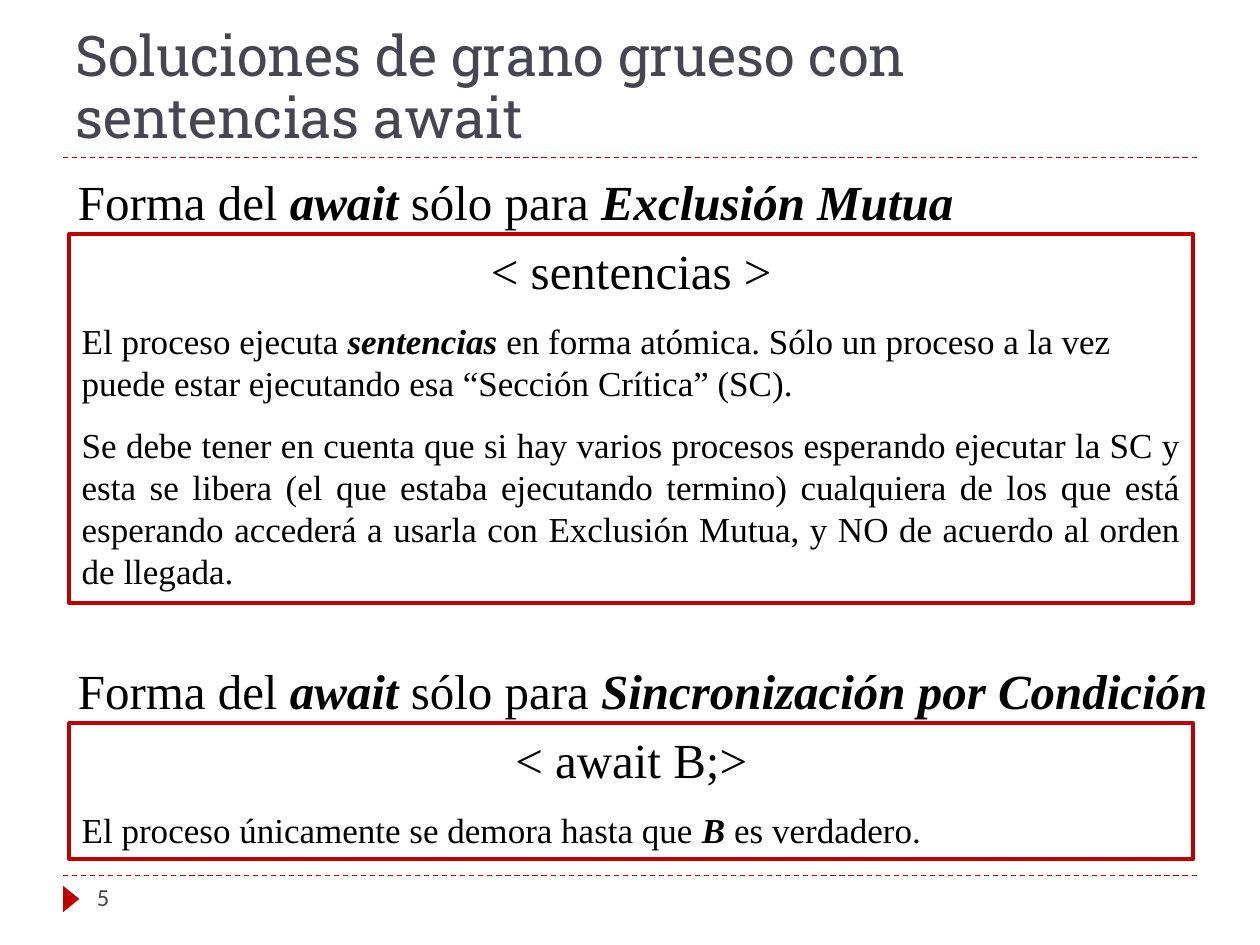
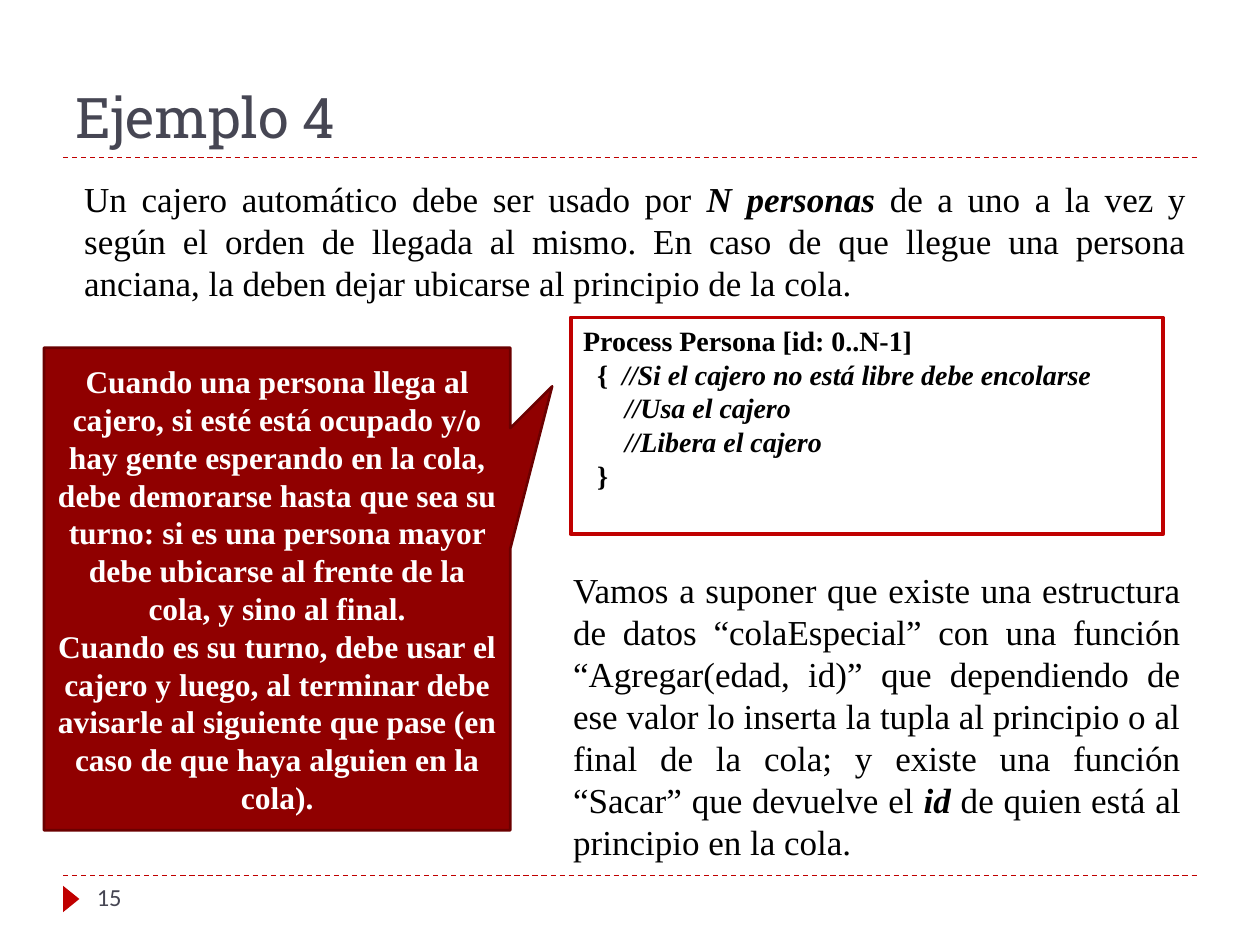
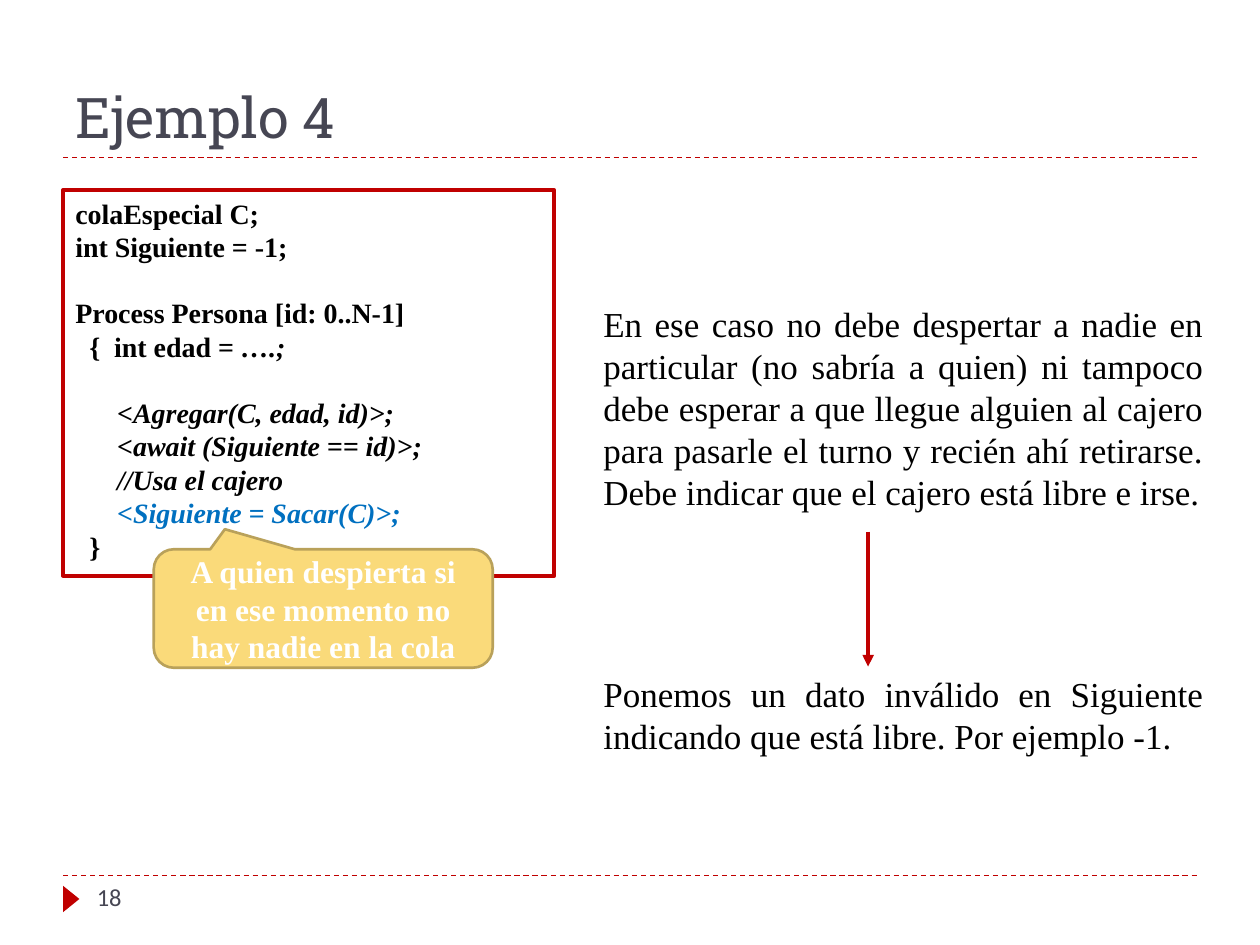
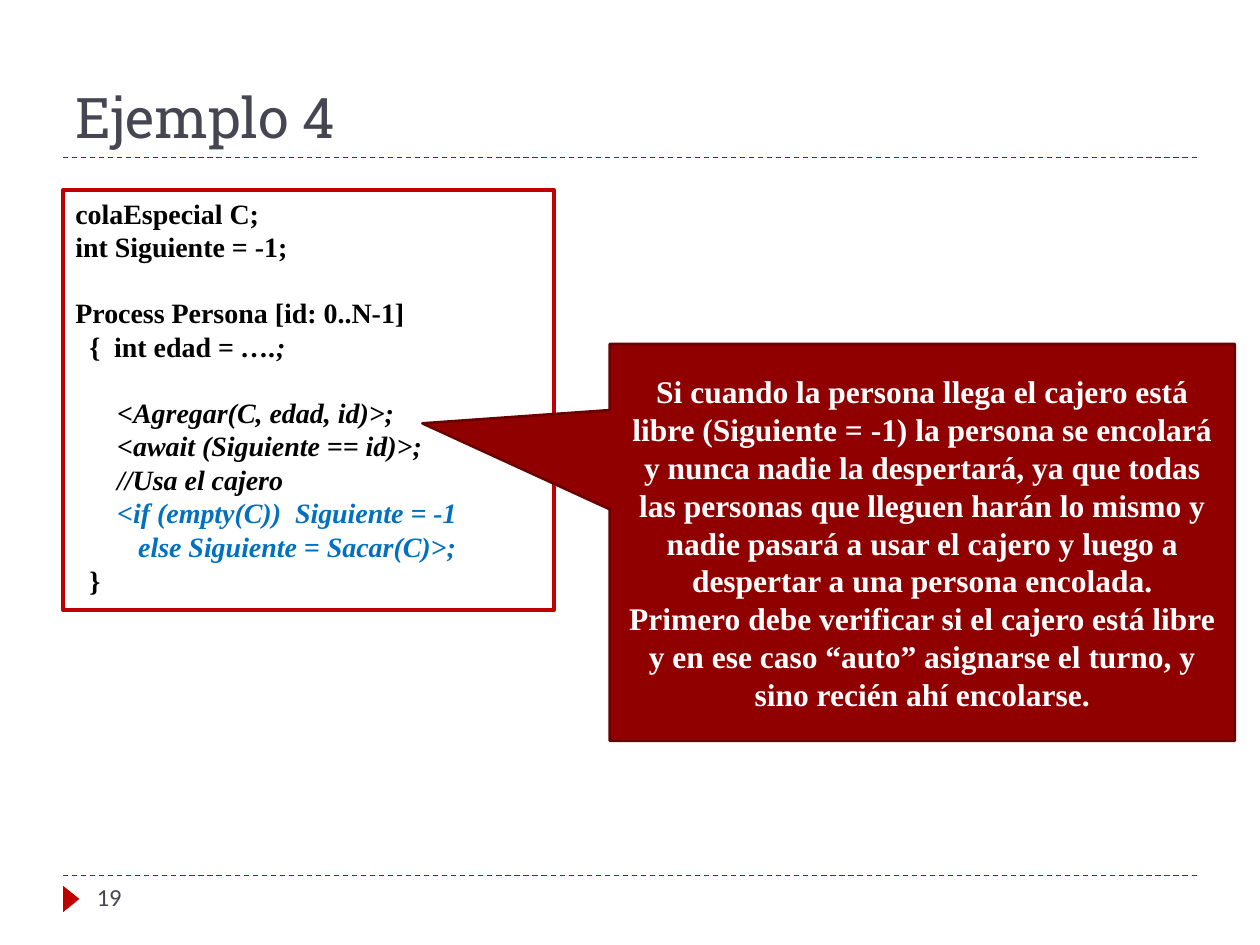
from lxml.etree import SubElement
from pptx import Presentation
from pptx.dml.color import RGBColor
from pptx.enum.dml import MSO_LINE_DASH_STYLE as Dash
from pptx.enum.shapes import MSO_CONNECTOR as Connector, MSO_SHAPE as Shape
from pptx.enum.text import MSO_ANCHOR as Anchor, MSO_AUTO_SIZE as AutoSize, PP_ALIGN as Align
from pptx.oxml.ns import qn
from pptx.util import Inches, Pt

RED = RGBColor(0xC0, 0x00, 0x00)
DARK_RED = RGBColor(0x90, 0x00, 0x00)
DARK_RED_EDGE = RGBColor(0x6B, 0x00, 0x00)
YELLOW = RGBColor(0xFA, 0xDA, 0x7A)
YELLOW_EDGE = RGBColor(0xB9, 0xA1, 0x5A)
BLUE = RGBColor(0x00, 0x70, 0xC0)
SLATE = RGBColor(0x46, 0x46, 0x53)
BLACK = RGBColor(0x00, 0x00, 0x00)
WHITE = RGBColor(0xFF, 0xFF, 0xFF)

TITLE_FONT, BODY_FONT, NUMBER_FONT = "Roboto Slab", "Times New Roman", "Calibri"
LINE_HEIGHT = 1.15

# Places are left, top, width, height on a grid of 100 columns by 75 rows.
COLUMNS, ROWS = 100, 75
WIDTH, HEIGHT = Inches(10), Inches(7.5)
CODE_LEFT, CODE_TOP, CODE_WIDTH = 5, 15.1, 39
NOTE_LEFT, NOTE_WIDTH = 46.9, 49.6

# Text between asterisks is emphasised; a code line that starts with ~ is blue.
AWAIT_FORMS = [
    {
        "heading": "Forma del *await *sólo para *Exclusión Mutua*",
        "syntax": "< sentencias >",
        "top": 18.6, "height": 29.3,
        "notes": [
            ("El proceso ejecuta *sentencias* en forma atómica. Sólo un proceso a la vez "
             "puede estar ejecutando esa “Sección Crítica” (SC).", Align.LEFT),
            ("Se debe tener en cuenta que si hay varios procesos esperando ejecutar la SC y "
             "esta se libera (el que estaba ejecutando termino) cualquiera de los que está "
             "esperando accederá a usarla con Exclusión Mutua, y NO de acuerdo al orden de "
             "llegada.", Align.JUSTIFY),
        ],
    },
    {
        "heading": "Forma del *await *sólo para *Sincronización por Condición*",
        "syntax": "< await B;>",
        "top": 57.4, "height": 10.8,
        "notes": [("El proceso únicamente se demora hasta que *B* es verdadero.", Align.LEFT)],
    },
]

PROBLEM = ("Un cajero automático debe ser usado por *N personas* de a uno a la vez y según el "
           "orden de llegada al mismo. En caso de que llegue una persona anciana, la deben dejar "
           "ubicarse al principio de la cola.")
SKETCH_CODE = [
    "Process Persona [id: 0..N-1]",
    "  {  *//Si el cajero no está libre debe encolarse*",
    "*      //Usa el cajero*",
    "*      //Libera el cajero*",
    "  }",
]
TURN_RULES = [
    "Cuando una persona llega al cajero, si esté está ocupado y/o hay gente esperando en la "
    "cola, debe demorarse hasta que sea su turno: si es una persona mayor debe ubicarse al "
    "frente de la cola, y sino al final.",
    "Cuando es su turno, debe usar el cajero y luego, al terminar debe avisarle al siguiente "
    "que pase (en caso de que haya alguien en la cola).",
]
QUEUE_NOTE = ("Vamos a suponer que existe una estructura de datos “colaEspecial” con una función "
              "“Agregar(edad, id)” que dependiendo de ese valor lo inserta la tupla al principio "
              "o al final de la cola; y existe una función “Sacar” que devuelve el *id* de quien "
              "está al principio en la cola.")

QUEUE_CODE = [
    "colaEspecial C;",
    "int Siguiente = -1;",
    "",
    "Process Persona [id: 0..N-1]",
    "  {  int edad = *….;*",
    "",
    "*      <Agregar(C, edad, id)>;*",
    "*      <await (Siguiente == id)>;*",
    "*      //Usa el cajero*",
]
WAKE_ALWAYS = ["~*      <Siguiente = Sacar(C)>;*", "  }"]
WAKE_IF_ANY = [
    "~*      <if (empty(C))  Siguiente = -1*",
    "~*         else Siguiente = Sacar(C)>;*",
    "  }",
]
WAKE_QUESTION = ["A quien despierta si en ese momento no hay nadie en la cola"]
LEAVE_NOTE = ("En ese caso no debe despertar a nadie en particular (no sabría a quien) ni tampoco "
              "debe esperar a que llegue alguien al cajero para pasarle el turno y recién ahí "
              "retirarse. Debe indicar que el cajero está libre e irse.")
FREE_NOTE = "Ponemos un dato inválido en Siguiente indicando que está libre. Por ejemplo -1."
DEADLOCK = [
    "Si cuando la persona llega el cajero está libre (Siguiente = -1) la persona se encolará y "
    "nunca nadie la despertará, ya que todas las personas que lleguen harán lo mismo y nadie "
    "pasará a usar el cajero y luego a despertar a una persona encolada.",
    "Primero debe verificar si el cajero está libre y en ese caso “auto” asignarse el turno, y "
    "sino recién ahí encolarse.",
]


def across(columns):
    return int(WIDTH * columns / COLUMNS)


def down(rows):
    return int(HEIGHT * rows / ROWS)


def place(left, top, width, height):
    return across(left), down(top), across(width), down(height)


def write(frame, texts, size, color=BLACK, align=Align.JUSTIFY, bold=False, font=BODY_FONT):
    """Fill the frame with one paragraph per text; an empty text leaves a line's gap."""
    frame.word_wrap = True
    paras, gap = [], 0
    for text in texts:
        if not text:
            gap = size * LINE_HEIGHT
            continue
        para = frame.add_paragraph() if paras else frame.paragraphs[0]
        paras.append(para)
        para.alignment = align
        if gap:
            para.space_before = Pt(gap)
            gap = 0
        para.font.name, para.font.size, para.font.bold = font, Pt(size), bold
        para.font.color.rgb = BLUE if text.startswith("~") else color
        for index, part in enumerate(text.lstrip("~").split("*")):
            if part:
                span = para.add_run()
                span.text = part
                if index % 2:
                    span.font.bold = span.font.italic = True
    return paras


def add_text(page, at, text, size=20, **style):
    box = page.shapes.add_textbox(*place(*at))
    write(box.text_frame, [text], size, **style)
    return box


def add_frame(page, at):
    """Add an unfilled box with a red border."""
    box = page.shapes.add_shape(Shape.RECTANGLE, *place(*at))
    box.shadow.inherit = False
    box.fill.background()
    box.line.color.rgb, box.line.width = RED, Pt(2.25)
    box.text_frame.vertical_anchor = Anchor.TOP
    return box


def add_code(page, at, lines):
    write(add_frame(page, at).text_frame, lines, 16, bold=True)


def add_callout(page, at, pointer, texts, kind=Shape.RECTANGULAR_CALLOUT,
                fill=DARK_RED, edge=DARK_RED_EDGE):
    callout = page.shapes.add_shape(kind, *place(*at))
    callout.shadow.inherit = False
    for index, offset in enumerate(pointer):
        callout.adjustments[index] = offset
    callout.fill.solid()
    callout.fill.fore_color.rgb = fill
    callout.line.color.rgb, callout.line.width = edge, Pt(1.5)
    callout.text_frame.vertical_anchor = Anchor.MIDDLE
    write(callout.text_frame, texts, 18, WHITE, Align.CENTER, bold=True)


def add_line(page, start, end, width):
    line = page.shapes.add_connector(Connector.STRAIGHT, across(start[0]), down(start[1]),
                                     across(end[0]), down(end[1]))
    line.line.color.rgb, line.line.width = RED, Pt(width)
    SubElement(line.element.spPr, qn("a:effectLst"))
    return line


def add_arrow(page, start, end):
    arrow = add_line(page, start, end, 2.25)
    SubElement(arrow.line._get_or_add_ln(), qn("a:tailEnd"), type="triangle")


def decorate(layout, page):
    """Draw the rules and the footer marker on the page, then move them to its layout."""
    marks = []
    for row in (69.5, 12.5):
        rule = add_line(page, (5, row), (95, row), 0.75)
        rule.line.dash_style = Dash.DASH
        marks.append(rule)
    marker = page.shapes.add_shape(Shape.ISOSCELES_TRIANGLE, *place(4.6, 70.7, 2.1, 1.3))
    marker.shadow.inherit = False
    marker.rotation = 90
    marker.fill.solid()
    marker.fill.fore_color.rgb = RED
    marker.line.fill.background()
    for mark in marks + [marker]:
        layout.shapes.element.append(mark.element)


def add_page(deck, title, number):
    page = deck.slides.add_slide(deck.slide_layouts[5])
    heading = page.shapes.title
    heading.left, heading.top, heading.width, heading.height = place(5, 1.7, 89.7, 10.8)
    frame = heading.text_frame
    frame.vertical_anchor, frame.auto_size = Anchor.BOTTOM, AutoSize.NONE
    para, = write(frame, [title], 32, SLATE, Align.LEFT, font=TITLE_FONT)
    para.line_spacing = 0.92
    add_text(page, (6.7, 69.5, 21.7, 4), str(number), 14,
             color=SLATE, align=Align.LEFT, font=NUMBER_FONT)
    return page


def fill_forms(page):
    for form in AWAIT_FORMS:
        box = add_frame(page, (5.5, form["top"], 89.2, form["height"]))
        syntax, *notes = write(box.text_frame,
                               [form["syntax"]] + [text for text, _ in form["notes"]], 20)
        syntax.font.size, syntax.alignment = Pt(28), Align.CENTER
        for note, (_, align) in zip(notes, form["notes"]):
            note.alignment, note.space_before = align, Pt(10 * LINE_HEIGHT)
        heading = add_text(page, (5.2, form["top"] - 5.5, 92.7, 5.7), form["heading"], 28,
                           align=Align.LEFT)
        heading.text_frame.word_wrap = False


def fill_problem(page):
    add_code(page, (45.3, 25.2, 47, 17.2), SKETCH_CODE)
    add_text(page, (5.7, 13.6, 89.4, 11.1), PROBLEM)
    add_callout(page, (3.5, 27.6, 37, 38.3), (0.59, -0.42), TURN_RULES)
    add_text(page, (44.5, 44.6, 50.2, 24.6), QUEUE_NOTE)


def fill_question(page):
    add_code(page, (CODE_LEFT, CODE_TOP, CODE_WIDTH, 30.6), QUEUE_CODE + WAKE_ALWAYS)
    add_callout(page, (12.2, 43.6, 26.9, 9.4), (-0.29, -0.67, 0.17), WAKE_QUESTION,
                Shape.ROUNDED_RECTANGULAR_CALLOUT, YELLOW, YELLOW_EDGE)
    add_text(page, (NOTE_LEFT, 23.5, NOTE_WIDTH, 17.8), LEAVE_NOTE)
    add_text(page, (NOTE_LEFT, 52.9, NOTE_WIDTH, 7.7), FREE_NOTE)
    add_arrow(page, (68.9, 42.2), (68.9, 52.9))


def fill_deadlock(page):
    add_code(page, (CODE_LEFT, CODE_TOP, CODE_WIDTH, 33.3), QUEUE_CODE + WAKE_IF_ANY)
    add_callout(page, (48.4, 27.3, 49.6, 31.5), (-0.8, -0.3), DEADLOCK)


PAGES = [
    ("Soluciones de grano grueso con sentencias await", 5, fill_forms),
    ("Ejemplo 4", 15, fill_problem),
    ("Ejemplo 4", 18, fill_question),
    ("Ejemplo 4", 19, fill_deadlock),
]


def main():
    deck = Presentation()
    deck.slide_width, deck.slide_height = WIDTH, HEIGHT
    for title, number, fill_page in PAGES:
        fill_page(add_page(deck, title, number))
    decorate(deck.slide_layouts[5], deck.slides[0])
    deck.save("out.pptx")


if __name__ == "__main__":
    main()
